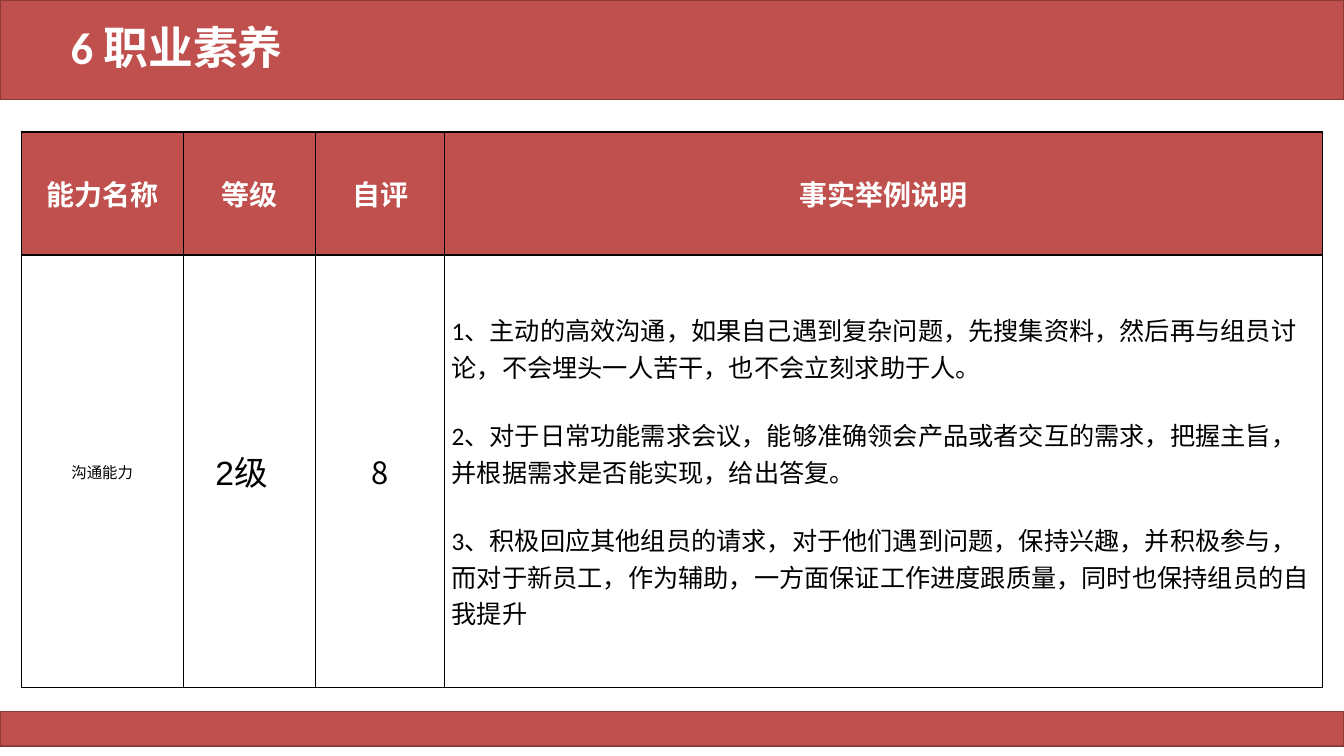
import pptx
import pptx.util
import pptx.dml.color
import pptx.enum.shapes
import pptx.enum.text
import pptx.oxml
import pptx.oxml.ns

Inches = pptx.util.Inches
Pt = pptx.util.Pt
RGBColor = pptx.dml.color.RGBColor
ALIGN = pptx.enum.text.PP_ALIGN
MIDDLE = pptx.enum.text.MSO_ANCHOR.MIDDLE

RED = RGBColor(0xC0, 0x50, 0x4D)
DARK_RED = RGBColor(0x8E, 0x3B, 0x39)
WHITE = RGBColor(0xFF, 0xFF, 0xFF)
BLACK = RGBColor(0x00, 0x00, 0x00)
CHINESE_FONT = "Noto Sans CJK SC"
NAMESPACE = pptx.oxml.ns.nsdecls("a")


def write(para, text, font, color):
    span = para.add_run()
    span.text = text
    for name, value in font.items():
        setattr(span.font, name, value)
    span.font.color.rgb = color
    span.font.element.append(pptx.oxml.parse_xml(
        f'<a:ea {NAMESPACE} typeface="{CHINESE_FONT}"/>')) if hasattr(span.font, "element") else \
        span.text and span._r.get_or_add_rPr().append(pptx.oxml.parse_xml(
            f'<a:ea {NAMESPACE} typeface="{CHINESE_FONT}"/>'))


def add_borders(cell):
    properties = cell._tc.get_or_add_tcPr()
    for index, side in enumerate(("lnL", "lnR", "lnT", "lnB")):
        properties.insert(index, pptx.oxml.parse_xml(
            f'<a:{side} {NAMESPACE} w="12700"><a:solidFill>'
            f'<a:srgbClr val="{BLACK}"/></a:solidFill></a:{side}>'))


deck = pptx.Presentation()
deck.slide_width = Inches(13.33)
deck.slide_height = Inches(7.5)
page = deck.slides.add_slide(deck.slide_layouts[5])

# Bars at the top and bottom
for top, height in ((0, 0.99), (7.06, 0.34)):
    bar = page.shapes.add_shape(
        pptx.enum.shapes.MSO_SHAPE.RECTANGLE,
        Inches(0), Inches(top), Inches(13.33), Inches(height))
    bar.shadow.inherit = False
    bar.fill.solid()
    bar.fill.fore_color.rgb = RED
    bar.line.color.rgb = DARK_RED
    bar.line.width = Pt(1)

# Title, brought in front of the top bar
title = page.shapes.title
title_place = {"left": 0.6, "top": 0.2, "width": 11.5, "height": 0.59}
for name, value in title_place.items():
    setattr(title, name, Inches(value))
title.element.getparent().append(title.element)
title.text_frame.auto_size = pptx.enum.text.MSO_AUTO_SIZE.NONE
title.text_frame.vertical_anchor = MIDDLE
para = title.text_frame.paragraphs[0]
para.alignment = ALIGN.LEFT
para.line_spacing = 0.9
write(para, "6 职业素养", {"name": "Calibri", "size": Pt(32), "bold": True}, WHITE)

# Table grid
table = page.shapes.add_table(
    2, 4, Inches(0.21), Inches(1.31), Inches(12.91), Inches(5.51)).table
table.first_row = False
table.horz_banding = False
for column, width in zip(table.columns, (1.61, 1.31, 1.28, 8.71)):
    column.width = Inches(width)
for row, height in zip(table.rows, (1.22, 4.29)):
    row.height = Inches(height)

# Cell contents: paragraphs, font, size, left and right margins
headings = ("能力名称", "等级", "自评", "事实举例说明")
header = [([text], CHINESE_FONT, 20, 0.07, 0.07) for text in headings]
examples = [
    "1、主动的高效沟通，如果自己遇到复杂问题，先搜集资料，然后再与组员讨论，不会埋头一人苦干，也不会立刻求助于人。",
    "2、对于日常功能需求会议，能够准确领会产品或者交互的需求，把握主旨，并根据需求是否能实现，给出答复。",
    "3、积极回应其他组员的请求，对于他们遇到问题，保持兴趣，并积极参与，而对于新员工，作为辅助，一方面保证工作进度跟质量，同时也保持组员的自我提升",
]
body = [
    (["沟通能力"], "Arial", 11, 0.14, 0.14),
    (["2级"], "Arial", 24, 0.01, 0.17),
    (["8"], CHINESE_FONT, 22, 0.01, 0.01),
    (examples, "Calibri", 18, 0.07, 0.07),
]

for row_index, contents in enumerate((header, body)):
    is_header = row_index == 0
    for column_index, (texts, font_name, size, left, right) in enumerate(contents):
        cell = table.cell(row_index, column_index)
        cell_format = {
            "vertical_anchor": MIDDLE,
            "margin_left": Inches(left), "margin_right": Inches(right),
            "margin_top": Inches(0), "margin_bottom": Inches(0),
        }
        for name, value in cell_format.items():
            setattr(cell, name, value)
        if is_header:
            cell.fill.solid()
            cell.fill.fore_color.rgb = RED
        else:
            cell.fill.background()
        add_borders(cell)
        font = {"name": font_name, "size": Pt(size), "bold": is_header}
        for index, text in enumerate(texts):
            para = cell.text_frame.add_paragraph() if index else cell.text_frame.paragraphs[0]
            para.alignment = ALIGN.LEFT if texts is examples else ALIGN.CENTER
            para.space_before = Pt(23 if index else 0)
            write(para, text, font, WHITE if is_header else BLACK)

deck.save("out.pptx")
